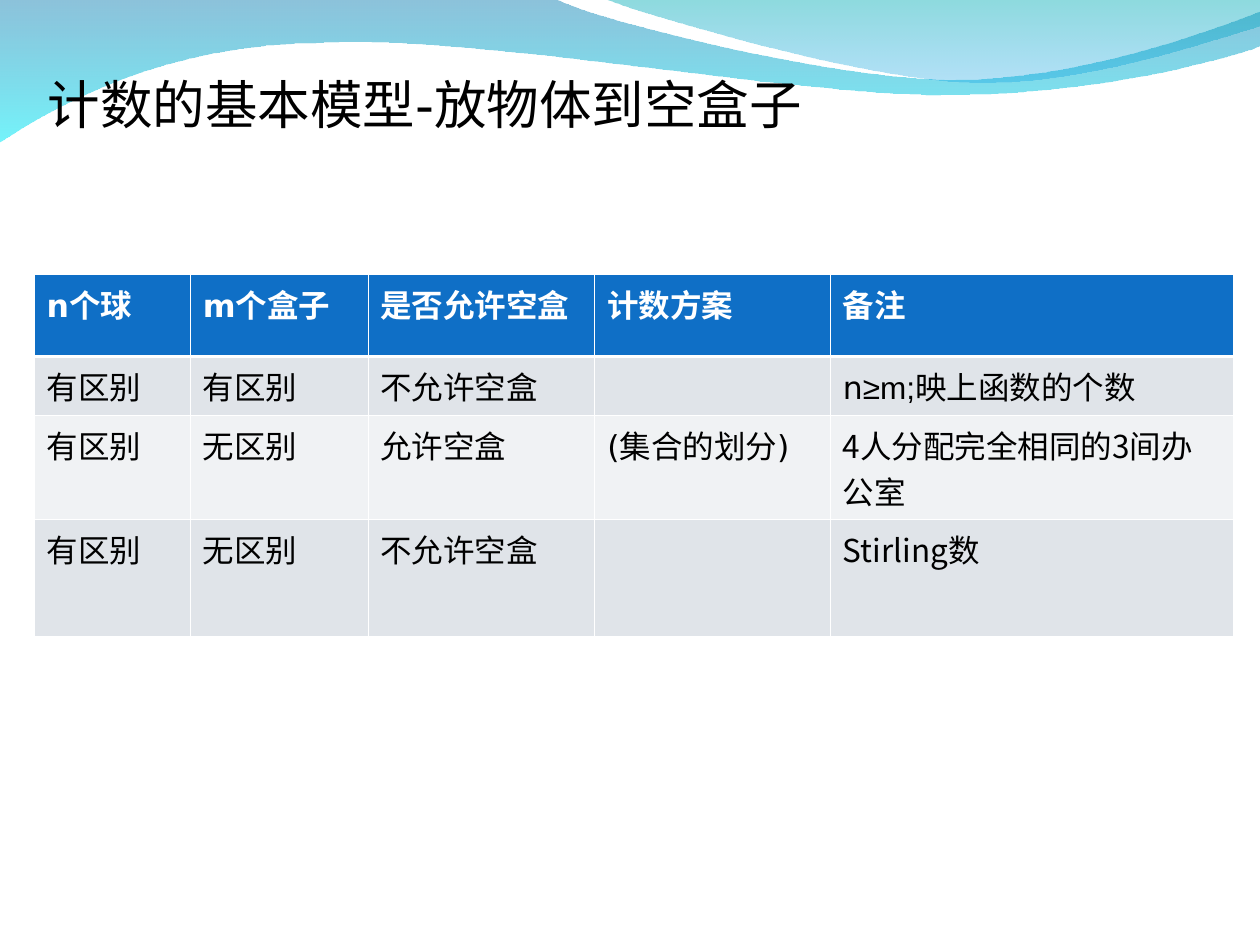
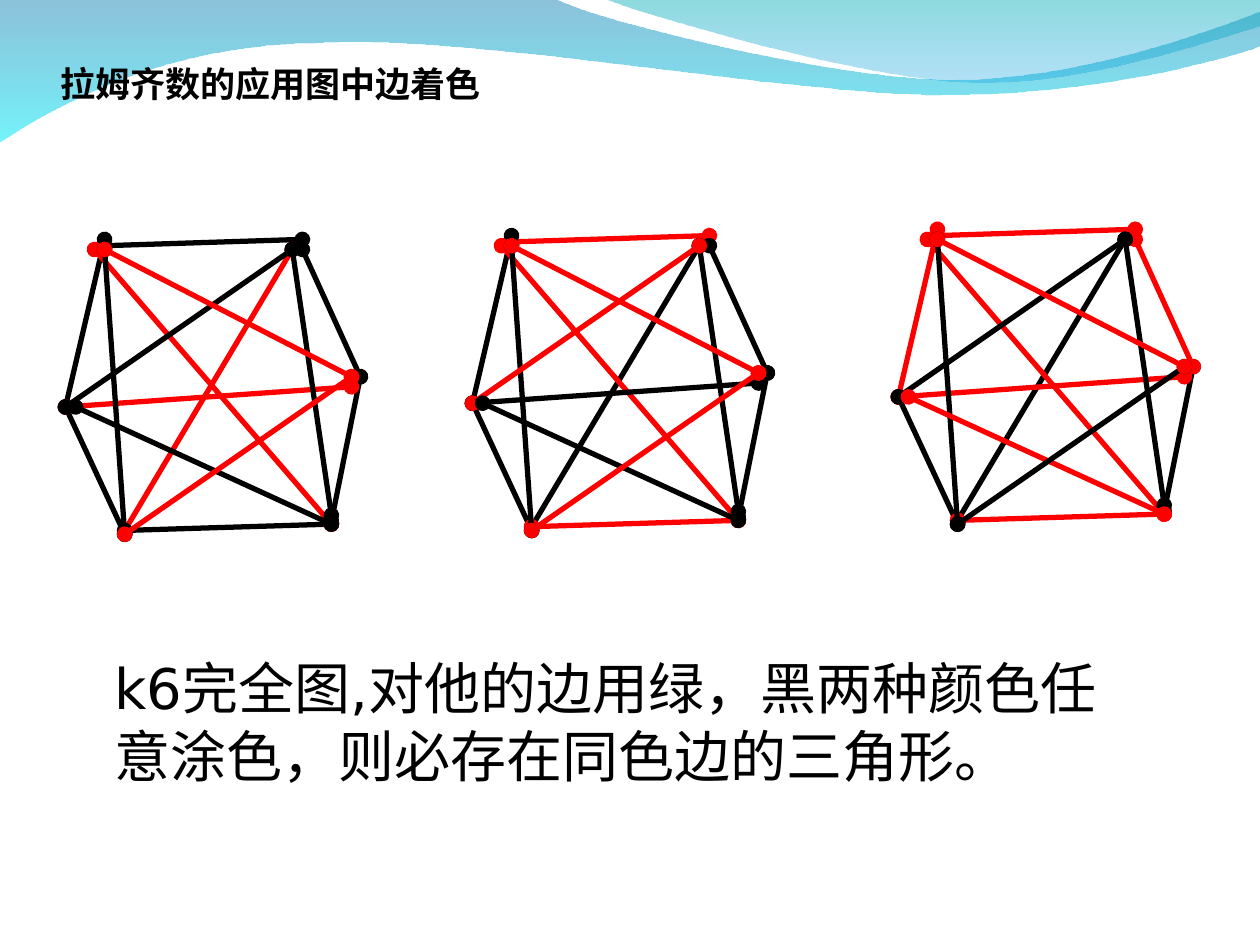
from lxml.etree import SubElement
from pptx import Presentation
from pptx.dml.color import RGBColor
from pptx.enum.shapes import MSO_CONNECTOR
from pptx.oxml.ns import qn
from pptx.util import Inches, Pt

BLACK, RED, WHITE = "000000", "FF0000", "FFFFFF"
HEADER_BLUE, ROW_DARK, ROW_LIGHT = "0F6FC6", "E0E4E9", "F0F2F4"
SANS, CJK, ARIAL = "DejaVu Sans", "Noto Sans CJK SC", "Arial"

WIDE_WAVE = [
    [(0, -0.01)], [(4.4, -0.01)],
    [(4.76, 0.17), (6.64, 0.63), (7.58, 0.63)],
    [(8.53, 0.63), (9.58, 0.26), (10, 0.09)],
    [(10.01, 0.36)],
    [(9.83, 0.44), (8.7, 0.76), (7.46, 0.75)],
    [(6.22, 0.75), (3.82, 0.28), (2.57, 0.34)],
    [(1.29, 0.35), (0.46, 0.83), (-0.01, 1.13)],
]
RIGHT_WAVE = [
    [(4.79, -0.01)],
    [(5.09, 0.11), (6.82, 0.62), (7.69, 0.65)],
    [(8.56, 0.69), (9.61, 0.32), (10, 0.21)],
    [(10, 0)],
]

MODEL_COLUMNS = [1.24, 1.41, 1.8, 1.87, 3.2]
MODEL_ROWS = [0.65, 0.47, 0.7, 0.93]
MODELS = [
    ["n个球", "m个盒子", "是否允许空盒", "计数方案", "备注"],
    ["有区别", "有区别", "不允许空盒", "",
     [("n", SANS), ("≥m;", ARIAL), ("映上函数的个数", SANS)]],
    ["有区别", "无区别", "允许空盒", "(集合的划分)",
     [("4人分配完全相同的3间办公室", CJK)]],
    ["有区别", "无区别", "不允许空盒", "", [("Stirling数", CJK)]],
]

K6_EDGES = [
    ((2.4, 1.9), (0.83, 1.95)), ((0.99, 4.21), (2.32, 1.98)),
    ((0.52, 3.23), (0.83, 1.9)), ((0.99, 4.24), (0.52, 3.23)),
    ((2.63, 4.16), (0.99, 4.21)), ((2.86, 2.99), (2.63, 4.14)),
    ((2.4, 1.98), (2.86, 2.99)), ((2.63, 4.16), (0.75, 1.98)),
    ((2.79, 3.07), (0.52, 3.23)), ((2.32, 1.98), (2.63, 4.09)),
    ((0.83, 1.98), (0.99, 4.24)), ((2.32, 1.98), (0.52, 3.23)),
    ((0.6, 3.23), (2.63, 4.16)), ((0.99, 4.24), (2.79, 2.99)),
    ((2.79, 2.99), (0.83, 1.98)),
]
EDGE_COLORS = {"K": BLACK, "R": RED}
COLORINGS = [
    (0, 0, "KRKKKKKRRKKKKRR"),
    (3.23, -0.03, "RKKKRKKRKKKRKRR"),
    (6.61, -0.08, "RKRKRKRRRKKKRKR"),
]


def rgb(value):
    return RGBColor.from_string(value)


def write(paragraph, text, size=18, font=SANS, asian=CJK, color=BLACK, bold=False):
    run = paragraph.add_run()
    run.text = text
    run.font.size = Pt(size)
    run.font.name = font
    run.font.bold = bold
    run.font.color.rgb = rgb(color)
    SubElement(run.font._element, qn("a:ea"), typeface=asian)


def add_text(slide, box, text, wrap=True, **style):
    frame = slide.shapes.add_textbox(*map(Inches, box)).text_frame
    frame.word_wrap = wrap
    write(frame.paragraphs[0], text, **style)


def bend(outline, segments):
    lines = iter(outline.findall(qn("a:lnTo")))
    for segment in segments[1:]:
        first, *others = [next(lines) for _ in segment]
        if others:
            first.tag = qn("a:cubicBezTo")
            for line in others:
                first.append(line[0])
                outline.remove(line)


def add_wave(slide, segments, stops):
    start, *rest = [(Inches(x), Inches(y)) for segment in segments for x, y in segment]
    builder = slide.shapes.build_freeform(*start)
    builder.add_line_segments(rest, close=True)
    wave = builder.convert_to_shape()
    bend(next(wave._element.iter(qn("a:path"))), segments)
    wave.shadow.inherit = False
    wave.line.fill.background()
    wave.fill.gradient()
    wave.fill.gradient_angle = 270
    for stop, (color, _) in zip(wave.fill.gradient_stops, stops):
        stop.color.rgb = rgb(color)
    for tint, (_, opacity) in zip(wave._element.spPr.iter(qn("a:srgbClr")), stops):
        SubElement(tint, qn("a:alpha"), val=str(opacity * 1000))
    return wave


def add_waves_to_layout(layout, slide):
    for segments, stops in [
        (WIDE_WAVE, [("0079AF", 45), ("00EBF8", 55)]),
        (RIGHT_WAVE, [("00ADB6", 45), ("009BE5", 30)]),
    ]:
        layout.shapes._spTree.append(add_wave(slide, segments, stops)._element)


def border_cell(cell, top, bottom):
    properties = cell._tc.get_or_add_tcPr()
    for side, width in [("L", 0.45), ("R", 0.45), ("T", top), ("B", bottom)]:
        line = SubElement(properties, qn(f"a:ln{side}"), w=str(Pt(width)))
        fill = SubElement(line, qn("a:solidFill"))
        SubElement(fill, qn("a:srgbClr"), val=WHITE)


def add_model_table(slide):
    box = map(Inches, (0.27, 2.18, sum(MODEL_COLUMNS), sum(MODEL_ROWS)))
    table = slide.shapes.add_table(len(MODEL_ROWS), len(MODEL_COLUMNS), *box).table
    for column, width in zip(table.columns, MODEL_COLUMNS):
        column.width = Inches(width)
    for row, height in zip(table.rows, MODEL_ROWS):
        row.height = Inches(height)
    for r, entries in enumerate(MODELS):
        header = r == 0
        background = HEADER_BLUE if header else ROW_DARK if r % 2 else ROW_LIGHT
        for c, entry in enumerate(entries):
            cell = table.cell(r, c)
            border_cell(cell, 1.47 if r == 1 else 0.45, 1.47 if header else 0.45)
            cell.fill.solid()
            cell.fill.fore_color.rgb = rgb(background)
            runs = [(entry, SANS)] if isinstance(entry, str) else entry
            for text, font in runs:
                if text:
                    write(cell.text_frame.paragraphs[0], text, font=font,
                          color=WHITE if header else BLACK, bold=header)


def add_edge(slide, start, end, color):
    edge = slide.shapes.add_connector(MSO_CONNECTOR.STRAIGHT,
                                      *map(Inches, (*start, *end)))
    edge.line.color.rgb = rgb(color)
    edge.line.width = Pt(3)
    for tip in ("a:headEnd", "a:tailEnd"):
        SubElement(edge.line._get_or_add_ln(), qn(tip), type="oval")
    SubElement(edge._element.spPr, qn("a:effectLst"))


def add_colored_k6(slide, dx, dy, coloring):
    for ends, key in zip(K6_EDGES, coloring):
        start, end = [(x + dx, y + dy) for x, y in ends]
        add_edge(slide, start, end, EDGE_COLORS[key])


def main():
    deck = Presentation()
    deck.slide_width, deck.slide_height = Inches(10), Inches(7.5)
    blank = deck.slide_layouts[6]

    models = deck.slides.add_slide(blank)
    add_waves_to_layout(blank, models)
    add_model_table(models)
    add_text(models, (0.28, 0.52, 7.48, 0.6), "计数的基本模型-放物体到空盒子",
             size=30, asian=SANS)

    ramsey = deck.slides.add_slide(blank)
    for dx, dy, coloring in COLORINGS:
        add_colored_k6(ramsey, dx, dy, coloring)
    add_text(ramsey, (0.81, 5.14, 8.13, 1.17),
             "k6完全图,对他的边用绿，黑两种颜色任意涂色，则必存在同色边的三角形。",
             size=32, asian=SANS)
    add_text(ramsey, (0.38, 0.45, 3.54, 0.44), "拉姆齐数的应用图中边着色",
             wrap=False, size=20, font=CJK, bold=True)

    deck.save("out.pptx")


if __name__ == "__main__":
    main()
